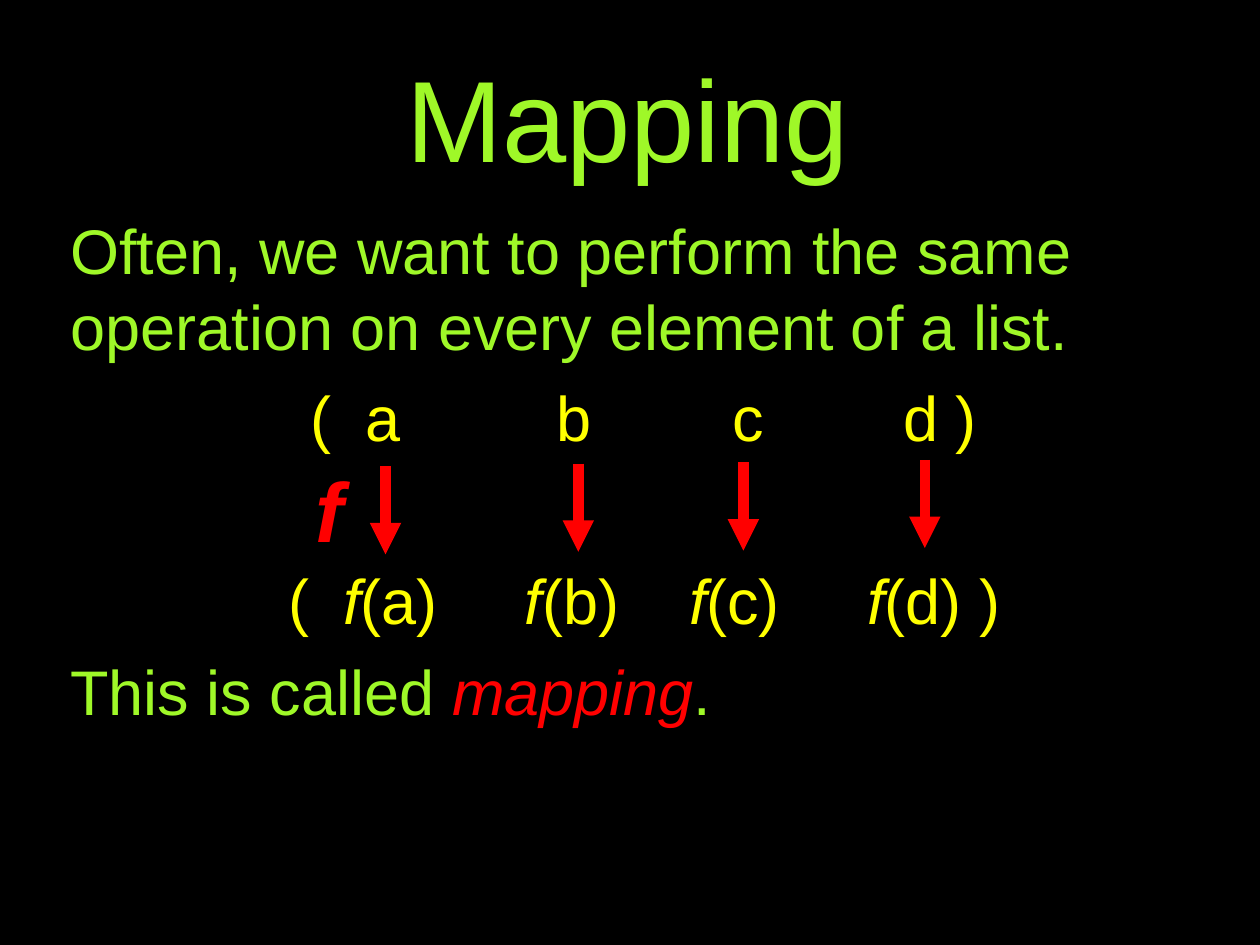
from lxml import etree
from pptx import Presentation
from pptx.dml.color import RGBColor
from pptx.enum.shapes import MSO_CONNECTOR
from pptx.enum.text import MSO_ANCHOR, PP_ALIGN
from pptx.oxml.ns import qn
from pptx.util import Inches, Pt

STRAIGHT = MSO_CONNECTOR.STRAIGHT
TOP, MIDDLE = MSO_ANCHOR.TOP, MSO_ANCHOR.MIDDLE
LEFT, CENTER = PP_ALIGN.LEFT, PP_ALIGN.CENTER
GREEN, YELLOW, RED, BLACK = "9FF828", "FFFF00", "FF0000", "000000"
LINE_RATIO = 1.2


def color(hex_value):
    return RGBColor.from_string(hex_value)


def add_text(column, row, columns, rows, anchor, insets, paragraphs):
    box = [int(cells * unit) for cells in (column, row, columns, rows)]
    frame = slide.shapes.add_textbox(*box).text_frame
    side, edge = [int(cells * unit) for cells in insets]
    frame_format = {
        "word_wrap": True, "vertical_anchor": anchor,
        "margin_left": side, "margin_top": edge,
        "margin_right": unit // 10, "margin_bottom": edge,
    }
    for key, value in frame_format.items():
        setattr(frame, key, value)
    for index, (align, size, before, stops, runs) in enumerate(paragraphs):
        paragraph = frame.add_paragraph() if index else frame.paragraphs[0]
        if stops:
            properties = paragraph._p.get_or_add_pPr()
            tabs = etree.SubElement(properties, qn("a:tabLst"))
            for stop in stops:
                position = int((stop - column) * unit) - side
                etree.SubElement(tabs, qn("a:tab"), pos=str(position), algn="ctr")
        paragraph_format = {
            "alignment": align, "space_before": Pt(before),
            "line_spacing": Pt(size * LINE_RATIO),
        }
        for key, value in paragraph_format.items():
            setattr(paragraph, key, value)
        for words, hex_value, font_format in runs:
            run = paragraph.add_run()
            run.text = words
            run.font.color.rgb = color(hex_value)
            for key, value in {"name": "Arial", "size": Pt(size), **font_format}.items():
                setattr(run.font, key, value)


presentation = Presentation()
presentation.slide_width = Inches(10)
presentation.slide_height = Inches(7.5)
unit = presentation.slide_width // 10
slide = presentation.slides.add_slide(presentation.slide_layouts[6])
slide.background.fill.solid()
slide.background.fill.fore_color.rgb = color(BLACK)

italic = {"italic": True}
elements = ["a", "b", "c", "d"]
mapped_runs = [("\t(", YELLOW, {})]
for element in elements:
    closing = " )" if element == elements[-1] else ""
    mapped_runs += [("\tf", YELLOW, italic), (f"({element}){closing}", YELLOW, {})]

list_stops = [2.55, 3.04, 4.56, 5.94, 7.46]
mapped_stops = [2.37, 3.1, 4.54, 5.83, 7.41]
gap, size = 9, 36
skipped_line = 2 * gap + size * LINE_RATIO

add_text(0.5, 0.07, 9, 1.71, MIDDLE, (0.06, 0.06), [
    (CENTER, 66, 0, [], [("Mapping", GREEN, {})]),
])
add_text(0.5, 1.62, 9.27, 5.56, TOP, (0.06, 0.06), [
    (LEFT, size, 0, [], [
        ("Often, we want to perform the same operation on every element of a list.", GREEN, {})]),
    (LEFT, size, gap, list_stops, [("\t(\t" + "\t".join(elements) + " )", YELLOW, {})]),
    (LEFT, size, skipped_line, mapped_stops, mapped_runs),
    (LEFT, size, gap, [], [
        ("This is called ", GREEN, {}), ("mapping", RED, italic), (".", GREEN, {})]),
])

for column, row in [(3.06, 3.7), (4.59, 3.68), (5.9, 3.67), (7.34, 3.65)]:
    start, end = int(row * unit), int((row + 0.7) * unit)
    center = int(column * unit)
    arrow = slide.shapes.add_connector(STRAIGHT, center, start, center, end)
    arrow.line.width = Pt(6)
    arrow.line.color.rgb = color(RED)
    etree.SubElement(arrow.line._get_or_add_ln(), qn("a:tailEnd"), type="triangle")
    etree.SubElement(arrow._element.spPr, qn("a:effectLst"))

add_text(2.25, 3.59, 0.73, 0.9, TOP, (0.1, 0.05), [
    (CENTER, 48, 0, [], [("f", RED, {"bold": True, "italic": True})]),
])

presentation.save("out.pptx")
